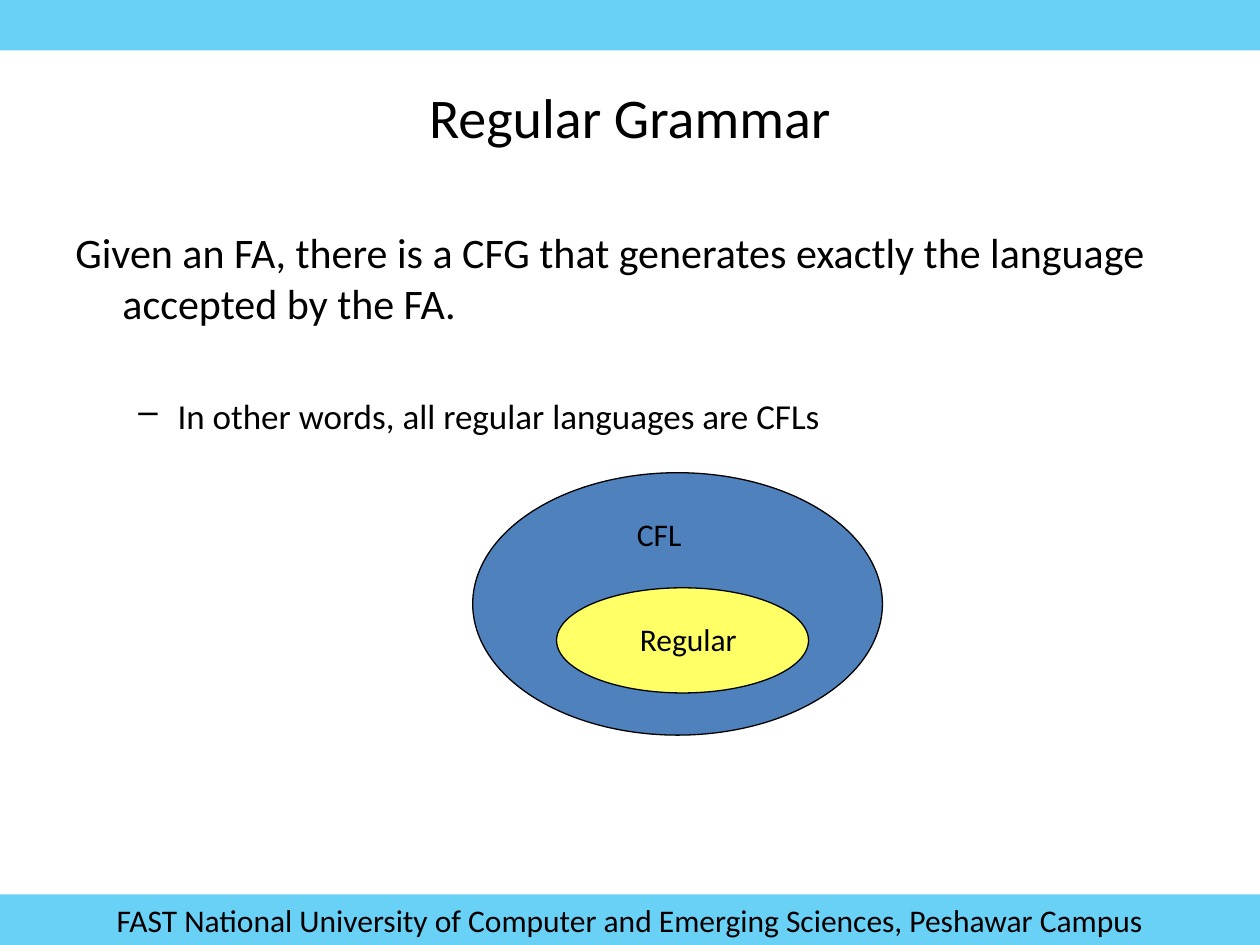
from dataclasses import dataclass

from lxml import etree
from pptx import Presentation
from pptx.dml.color import RGBColor
from pptx.enum import shapes, text
from pptx.oxml import ns
from pptx.util import Cm, Pt


@dataclass(frozen=True)
class Theme:
    """Colours, font and type sizes of the page."""
    font: str = "Calibri"
    ink: str = "000000"
    band: str = "00B0F0"
    band_alpha: int = 59
    outer: str = "4F81BD"
    inner: str = "FFFF66"
    outline: float = 0.75
    title: int = 32
    body: int = 24
    detail: int = 20
    label: int = 18


@dataclass(frozen=True)
class Area:
    """A place on the page in centimetres."""
    left: float
    top: float
    width: float
    height: float

    def lengths(self) -> tuple:
        """Return the place as lengths."""
        return Cm(self.left), Cm(self.top), Cm(self.width), Cm(self.height)


@dataclass(frozen=True)
class LanguageSet:
    """A language class drawn as an ellipse with its label."""
    name: str
    area: Area
    fill: str
    label_area: Area
    label_inset: float = 0.25


THEME = Theme()
PAGE_WIDTH, PAGE_HEIGHT, BAND_HEIGHT = 25.4, 19.05, 1.02
FOOTER = "FAST National University of Computer and Emerging Sciences, Peshawar Campus"
TITLE_AREA = Area(1.27, 0.76, 22.86, 3.18)
BODY_AREA = Area(1.27, 4.45, 22.86, 12.57)
STATEMENT = "Given an FA, there is a CFG that generates exactly the language accepted by the FA."
CONSEQUENCE = "In other words, all regular languages are CFLs"
LANGUAGE_SETS = (
    LanguageSet("CFL", Area(9.53, 9.53, 8.26, 5.29), THEME.outer,
                Area(12.01, 10.26, 2.41, 1.02), 0.83),
    LanguageSet("Regular", Area(11.22, 11.85, 5.08, 2.12), THEME.inner,
                Area(12.65, 12.37, 2.74, 1.02)),
)


def write(para, words: str, size: int, align=text.PP_ALIGN.LEFT) -> None:
    """Fill a paragraph with formatted words."""
    para.text = words
    para.alignment = align
    para.font.name = THEME.font
    para.font.size = Pt(size)
    para.font.color.rgb = RGBColor.from_string(THEME.ink)


def indent(para, left: float, hanging: float, bullet: str = "") -> None:
    """Give a paragraph a hanging indent and an optional bullet."""
    properties = para._p.get_or_add_pPr()
    properties.set("marL", str(Cm(left)))
    properties.set("indent", str(-Cm(hanging)))
    if bullet:
        etree.SubElement(properties, ns.qn("a:buChar")).set("char", bullet)


def add_filled(page, kind, area: Area, fill: str):
    """Add a plain filled shape."""
    shape = page.shapes.add_shape(kind, *area.lengths())
    shape.shadow.inherit = False
    shape.fill.solid()
    shape.fill.fore_color.rgb = RGBColor.from_string(fill)
    return shape


def add_band(page, top: float):
    """Add a translucent band across the page."""
    band = add_filled(page, shapes.MSO_SHAPE.RECTANGLE,
                      Area(0, top, PAGE_WIDTH, BAND_HEIGHT), THEME.band)
    band.line.fill.background()
    colour = band._element.spPr.find(".//" + ns.qn("a:srgbClr"))
    etree.SubElement(colour, ns.qn("a:alpha")).set("val", str(THEME.band_alpha * 1000))
    return band


def add_text_box(page, area: Area):
    """Add a wrapping text box and return its frame."""
    frame = page.shapes.add_textbox(*area.lengths()).text_frame
    frame.word_wrap = True
    return frame


def add_body(page) -> None:
    """Add the statement and its consequence."""
    frame = add_text_box(page, BODY_AREA)
    statement = frame.paragraphs[0]
    write(statement, STATEMENT, THEME.body)
    statement.space_before = Pt(4.8)
    indent(statement, 0.95, 0.95)
    consequence = frame.add_paragraph()
    write(consequence, CONSEQUENCE, THEME.detail)
    consequence.level = 1
    consequence.space_before = Pt(38)
    indent(consequence, 2.06, 0.79, "–")


def add_ellipse(page, item: LanguageSet) -> None:
    """Add the outlined ellipse of a language class."""
    ellipse = add_filled(page, shapes.MSO_SHAPE.OVAL, item.area, item.fill)
    ellipse.line.color.rgb = RGBColor.from_string(THEME.ink)
    ellipse.line.width = Pt(THEME.outline)


def add_label(page, item: LanguageSet) -> None:
    """Add the name of a language class."""
    frame = add_text_box(page, item.label_area)
    frame.margin_left = Cm(item.label_inset)
    write(frame.paragraphs[0], item.name, THEME.label)


def main() -> None:
    """Build and save the deck."""
    deck = Presentation()
    deck.slide_width, deck.slide_height = Cm(PAGE_WIDTH), Cm(PAGE_HEIGHT)
    page = deck.slides.add_slide(deck.slide_layouts.get_by_name("Title Only"))
    title = page.shapes.title
    title.left, title.top, title.width, title.height = TITLE_AREA.lengths()
    title.text_frame.vertical_anchor = text.MSO_ANCHOR.MIDDLE
    write(title.text_frame.paragraphs[0], "Regular Grammar", THEME.title,
          text.PP_ALIGN.CENTER)
    add_band(page, 0)
    footer = add_band(page, PAGE_HEIGHT - BAND_HEIGHT)
    write(footer.text_frame.paragraphs[0], FOOTER, THEME.label, text.PP_ALIGN.CENTER)
    add_body(page)
    for item in LANGUAGE_SETS:
        add_ellipse(page, item)
    for item in LANGUAGE_SETS:
        add_label(page, item)
    deck.save("out.pptx")


if __name__ == "__main__":
    main()
